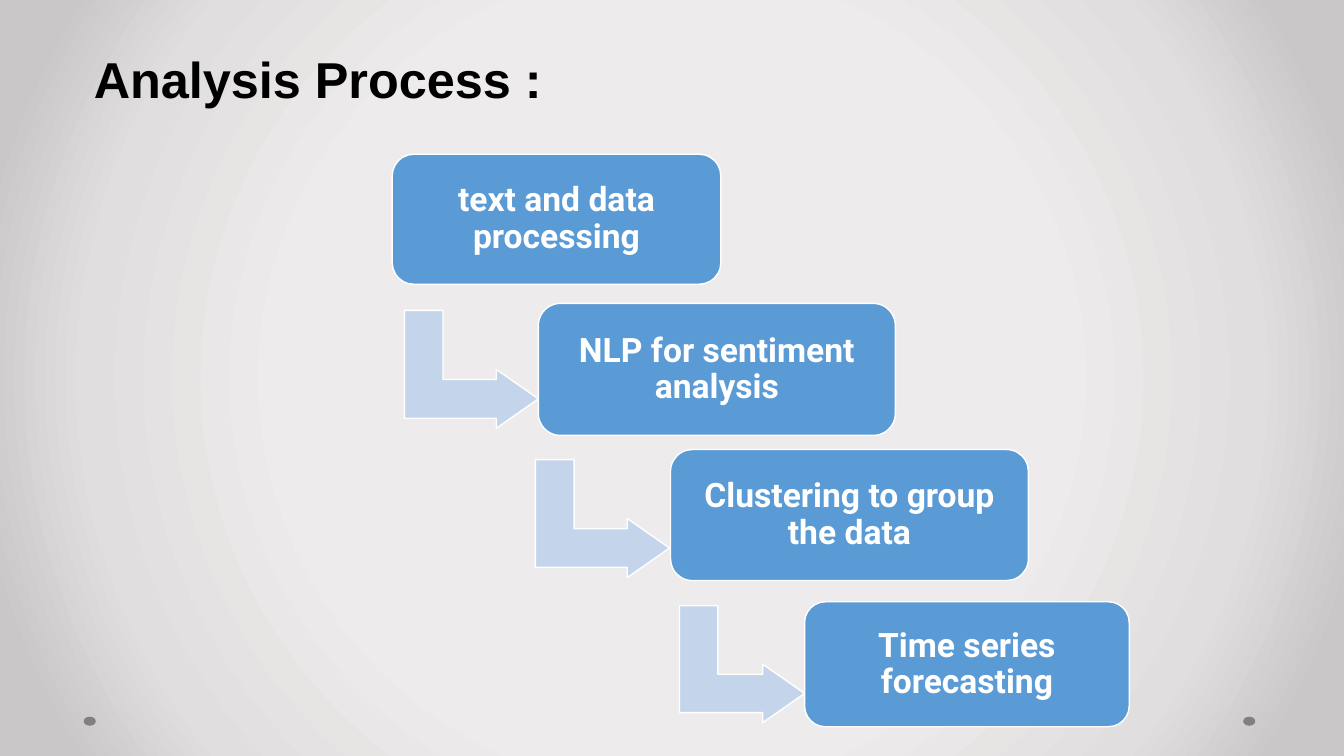
"""Build the Analysis Process slide: four steps going down a staircase of arrows."""
from pptx import Presentation
from pptx.dml.color import RGBColor
from pptx.enum import shapes, text
from pptx.oxml import parse_xml
from pptx.util import Inches, Pt

COLORS = {"title": "000000", "step": "5B9BD5", "arrow": "C4D5EB", "edge": "FFFFFF",
          "step_text": "FFFFFF", "dot": "808080"}
BACKDROP = {50: "EDEBEB", 76: "E0DEDE", 92: "C9C7C7"}
STEPS = [
    ("text and data processing", (3.89, 1.53, 3.26, 1.29)),
    ("NLP for sentiment analysis", (5.34, 3.01, 3.54, 1.31)),
    ("Clustering to group the data", (6.65, 4.46, 3.55, 1.3)),
    ("Time series forecasting", (7.98, 5.97, 3.22, 1.24)),
]
ARROWS = [(4.09, 3, 1.17, 1.33), (5.39, 4.48, 1.17, 1.33), (6.78, 5.97, 1.16, 1.24)]


def add_figure(kind, box, fill, edge=None, adjustments=()):
    figure = slide.shapes.add_shape(kind, *map(Inches, box))
    figure.shadow.inherit = False
    figure.fill.solid()
    figure.fill.fore_color.rgb = RGBColor.from_string(COLORS[fill])
    if edge:
        figure.line.color.rgb = RGBColor.from_string(COLORS[edge])
        figure.line.width = Pt(1)
    else:
        figure.line.fill.background()
    for index, value in enumerate(adjustments):
        figure.adjustments[index] = value
    return figure


def write(frame, words, color, frame_format, paragraph_format, font_format):
    frame.text = words
    paragraph = frame.paragraphs[0]
    font = paragraph.runs[0].font
    font.color.rgb = RGBColor.from_string(COLORS[color])
    for target, values in ((frame, frame_format), (paragraph, paragraph_format),
                           (font, font_format)):
        for key, value in values.items():
            setattr(target, key, value)


deck = Presentation()
deck.slide_width, deck.slide_height = Inches(13.33), Inches(7.5)
slide = deck.slides.add_slide(deck.slide_layouts[5])

backdrop = slide.background.fill
backdrop.gradient()
stops = "".join(f'<a:gs pos="{position * 1000}"><a:srgbClr val="{color}"/></a:gs>'
                for position, color in BACKDROP.items())
gradient = parse_xml(
    '<a:gradFill xmlns:a="http://schemas.openxmlformats.org/drawingml/2006/main" rotWithShape="1">'
    f'<a:gsLst>{stops}</a:gsLst><a:path path="circle">'
    '<a:fillToRect l="50000" t="50000" r="50000" b="50000"/></a:path></a:gradFill>')
default_gradient = slide.element.find(".//{*}bgPr/{*}gradFill")
default_gradient.getparent().replace(default_gradient, gradient)

for left in (12.33, 0.83):
    add_figure(shapes.MSO_SHAPE.OVAL, (left, 7.11, 0.12, 0.09), "dot")

heading = slide.shapes.title
for side, length in {"left": 0.83, "top": 0.43, "width": 6.67, "height": 0.71}.items():
    setattr(heading, side, Inches(length))
write(heading.text_frame, "Analysis Process :", "title",
      {"vertical_anchor": text.MSO_ANCHOR.TOP, "word_wrap": True,
       "auto_size": text.MSO_AUTO_SIZE.NONE},
      {"alignment": text.PP_ALIGN.LEFT},
      {"name": "Arial", "size": Pt(36), "bold": True})

for box in ARROWS:
    arrow = add_figure(shapes.MSO_SHAPE.BENT_UP_ARROW, box, "arrow", "edge", (0.328, 0.25, 0.358))
    arrow.rotation = 90

margins = {f"margin_{side}": Inches(0.1) for side in ("left", "top", "right", "bottom")}
for words, box in STEPS:
    step = add_figure(shapes.MSO_SHAPE.ROUNDED_RECTANGLE, box, "step", "edge", (0.167,))
    write(step.text_frame, words, "step_text",
          {"vertical_anchor": text.MSO_ANCHOR.MIDDLE, "word_wrap": True, **margins},
          {"alignment": text.PP_ALIGN.CENTER, "line_spacing": 0.9},
          {"name": "Roboto", "size": Pt(24), "bold": True})

deck.save("out.pptx")
